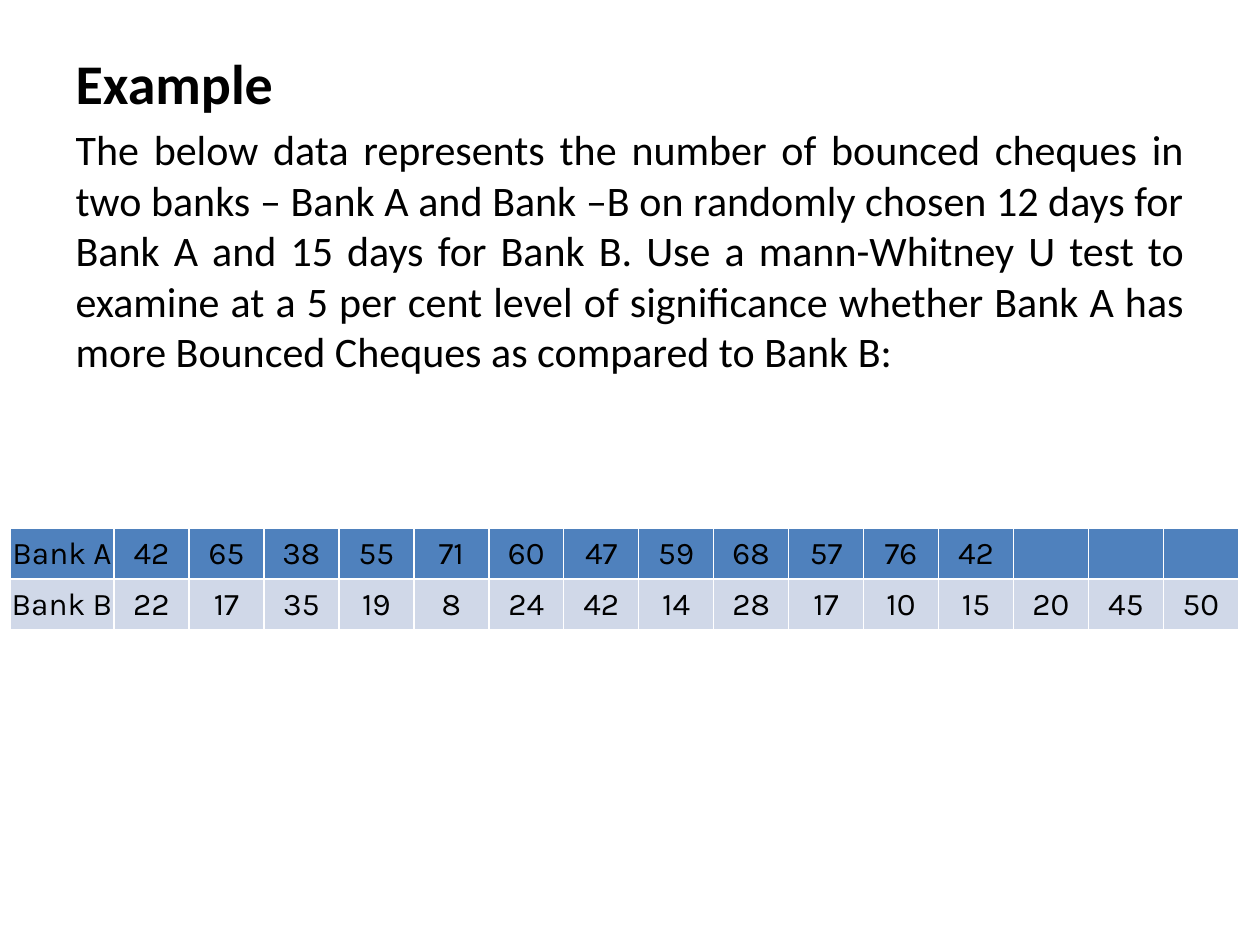
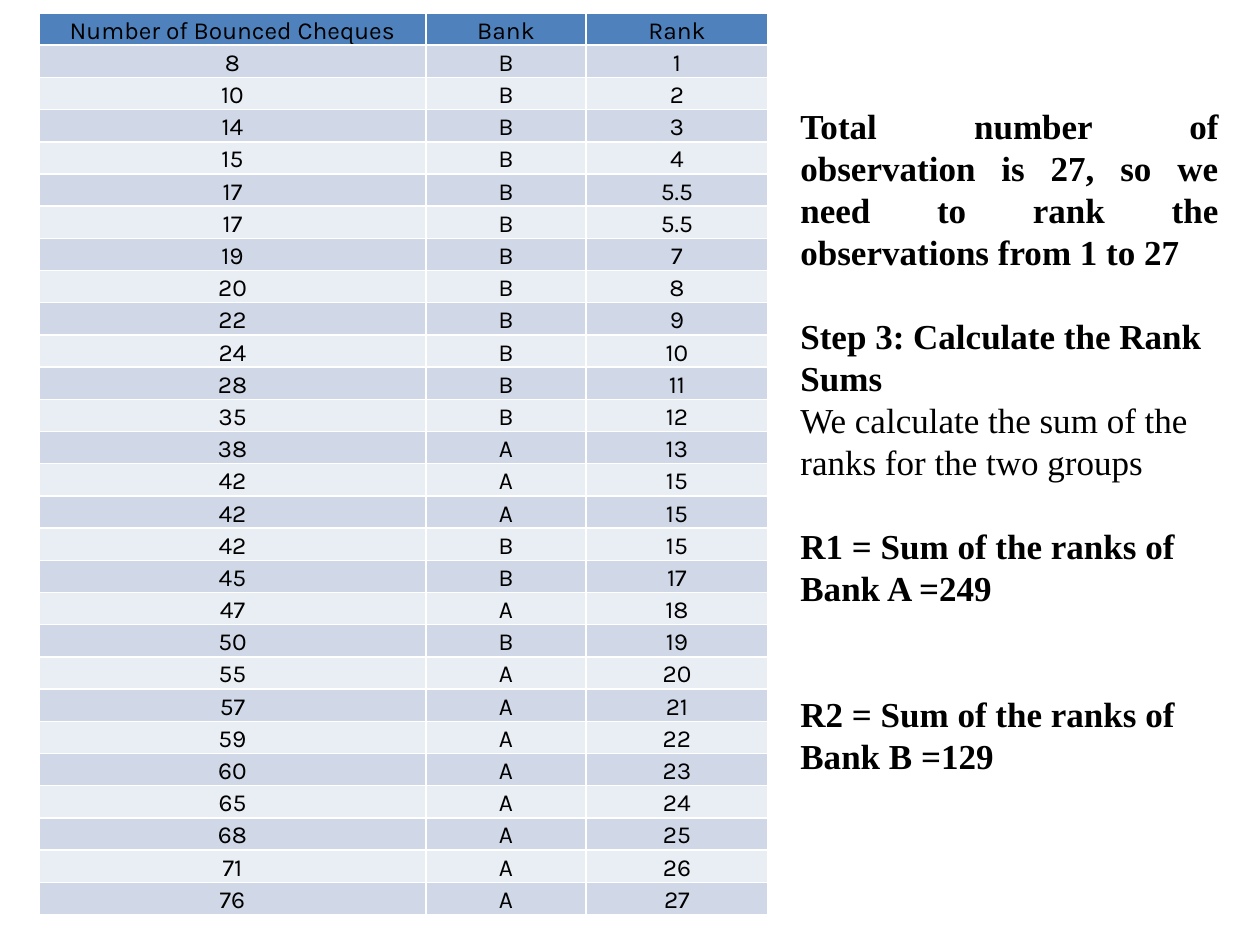
"""Build two slides on a Mann-Whitney U test of bounced cheques."""
from dataclasses import dataclass

from lxml import etree
from pptx import Presentation
from pptx.dml.color import RGBColor
from pptx.enum.text import MSO_ANCHOR, MSO_AUTO_SIZE, PP_ALIGN
from pptx.oxml.ns import qn
from pptx.util import Pt

LEFT, CENTER, JUSTIFY = PP_ALIGN.LEFT, PP_ALIGN.CENTER, PP_ALIGN.JUSTIFY
MIDDLE, BOTTOM = MSO_ANCHOR.MIDDLE, MSO_ANCHOR.BOTTOM
NO_FIT, GROW = MSO_AUTO_SIZE.NONE, MSO_AUTO_SIZE.SHAPE_TO_FIT_TEXT
PX = 914400 / 126


@dataclass(frozen=True)
class Theme:
    text: RGBColor = RGBColor(0x00, 0x00, 0x00)
    header: RGBColor = RGBColor(0x4F, 0x81, 0xBD)
    bands: tuple = (RGBColor(0xD0, 0xD8, 0xE8), RGBColor(0xE9, 0xED, 0xF4))
    body_font: str = "Calibri"
    table_font: str = "Karla"
    step_font: str = "Times New Roman"
    heading_size: int = 32
    body_size: int = 24
    step_size: int = 20
    data_size: int = 18
    rank_size: int = 14


theme = Theme()


def write(paragraph, text, font_name, size, bold=False, align=LEFT, space_before=0):
    paragraph.alignment = align
    paragraph.space_before = Pt(space_before)
    run = paragraph.add_run()
    run.text = text
    run.font.name = font_name
    run.font.size = Pt(size)
    run.font.bold = bold
    run.font.color.rgb = theme.text


def add_data_table(slide, left, top, column_widths, height, rows, size, anchor):
    frame = slide.shapes.add_table(
        len(rows), len(column_widths), round(left * PX), round(top * PX),
        round(sum(column_widths) * PX), round(height * PX))
    table = frame.table
    for column, width in zip(table.columns, column_widths):
        column.width = round(width * PX)
    for row_index, values in enumerate(rows):
        table.rows[row_index].height = round(height * PX / len(rows))
        fill_color = theme.bands[(row_index - 1) % 2] if row_index else theme.header
        for column_index, value in enumerate(values):
            cell = table.cell(row_index, column_index)
            cell.fill.solid()
            cell.fill.fore_color.rgb = fill_color
            cell.vertical_anchor = anchor
            cell.margin_left = cell.margin_right = cell.margin_top = round(PX)
            cell.margin_bottom = 0
            if value:
                write(cell.text_frame.paragraphs[0], value, theme.table_font, size, align=CENTER)


presentation = Presentation()
presentation.slide_width = round(1260 * PX)
presentation.slide_height = round(945 * PX)

bank_a = [42, 65, 38, 55, 71, 60, 47, 59, 68, 57, 76, 42]
bank_b = [22, 17, 35, 19, 8, 24, 42, 14, 28, 17, 10, 15, 20, 45, 50]

example_slide = presentation.slides.add_slide(presentation.slide_layouts[1])
empty_title = example_slide.shapes.title.element
empty_title.getparent().remove(empty_title)

body = example_slide.placeholders[1]
body.left, body.top, body.width, body.height = [round(length * PX) for length in (63, 42, 1134, 803)]
body.text_frame.auto_size = NO_FIT
heading = body.text_frame.paragraphs[0]
question = body.text_frame.add_paragraph()
for paragraph in (heading, question):
    properties = paragraph._p.get_or_add_pPr()
    properties.set("marL", "0")
    properties.set("indent", "0")
    etree.SubElement(properties, qn("a:buNone"))
write(heading, "Example", theme.body_font, theme.heading_size, bold=True)
write(
    question,
    "The below data represents the number of bounced cheques in two banks – Bank A and Bank –B "
    "on randomly chosen 12 days for Bank A and 15 days for Bank B. Use a mann-Whitney U test to "
    "examine at a 5 per cent level of significance whether Bank A has more Bounced Cheques as "
    "compared to Bank B:",
    theme.body_font, theme.body_size, align=JUSTIFY, space_before=4.8)

missing_days = [""] * (len(bank_b) - len(bank_a))
count_rows = [
    ["Bank A", *map(str, bank_a), *missing_days],
    ["Bank B", *map(str, bank_b)],
]
add_data_table(example_slide, 10, 528, [104] + [75] * len(bank_b), 102, count_rows,
               theme.data_size, MIDDLE)

ranks_slide = presentation.slides.add_slide(presentation.slide_layouts[6])
observations = sorted([(count, "A") for count in bank_a] + [(count, "B") for count in bank_b])
counts = [count for count, bank in observations]
rank_rows = [["Number of Bounced Cheques", "Bank", "Rank"]]
for count, bank in observations:
    rank = counts.index(count) + (counts.count(count) + 1) / 2
    rank_rows.append([str(count), bank, f"{rank:g}"])
add_data_table(ranks_slide, 39, 13, [387, 160, 182], 902, rank_rows, theme.rank_size, BOTTOM)

steps_box = ranks_slide.shapes.add_textbox(
    *[round(length * PX) for length in (788, 98, 443, 692)])
steps_frame = steps_box.text_frame
steps_frame.word_wrap = True
steps_frame.auto_size = GROW
rank_steps = [
    ("Total number of observation is 27, so we need to rank the observations from 1 to 27",
     True, JUSTIFY, 0),
    ("Step 3: Calculate the Rank Sums", True, LEFT, 24),
    ("We calculate the sum of the ranks for the two groups", False, LEFT, 0),
    ("R1 = Sum of the ranks of Bank A =249", True, LEFT, 24),
    ("R2 = Sum of the ranks of Bank B =129", True, LEFT, 48),
]
for index, (text, bold, align, space_before) in enumerate(rank_steps):
    paragraph = steps_frame.add_paragraph() if index else steps_frame.paragraphs[0]
    write(paragraph, text, theme.step_font, theme.step_size, bold, align, space_before)

presentation.save("out.pptx")
